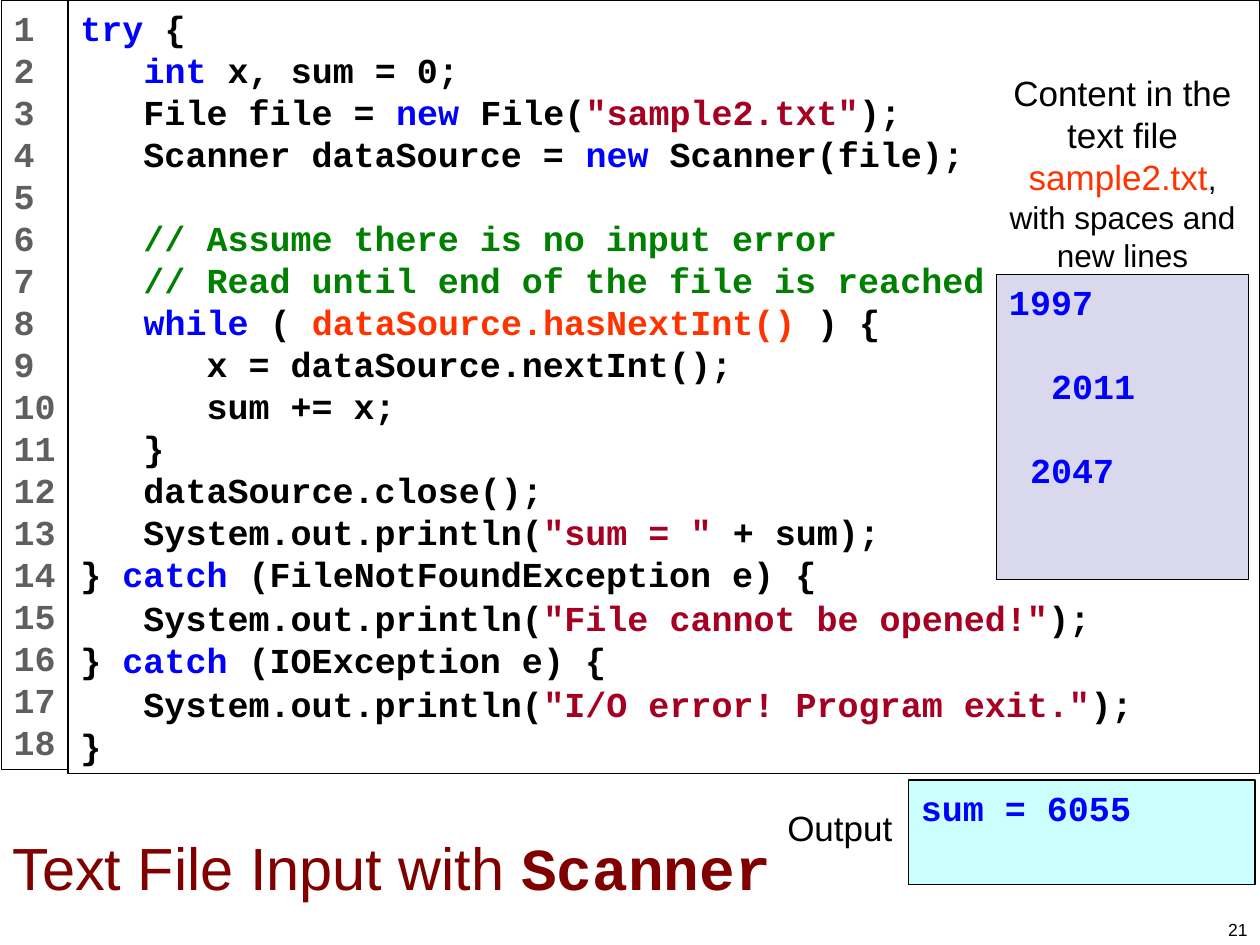
from pptx import Presentation
from pptx.dml.color import RGBColor
from pptx.enum.shapes import MSO_SHAPE
from pptx.enum.text import MSO_ANCHOR, PP_ALIGN
from pptx.util import Inches, Pt

COLORS = {
    "text": "000000", "key": "0000FF", "string": "A50021", "note": "008000",
    "mark": "FF3300", "number": "5F5F5F", "title": "800000",
    "paper": "FFFFFF", "data": "D9D8EC", "output": "CCFFFF",
}
MONO = "Courier New"
GAP = 24

CODE = [
    [("try", "key"), " {"],
    ["   ", ("int", "key"), " x, sum = 0;"],
    ["   File file = ", ("new", "key"), " File(", ('"sample2.txt"', "string"), ");"],
    ["   Scanner dataSource = ", ("new", "key"), " Scanner(file);"],
    [],
    [("   // Assume there is no input error", "note")],
    [("   // Read until end of the file is reached", "note")],
    ["   ", ("while", "key"), " ( ", ("dataSource.hasNextInt() ", "mark"), ") {"],
    ["      x = dataSource.nextInt();"],
    ["      sum += x;"],
    ["   }"],
    ["   dataSource.close();"],
    ["   System.out.println(", ('"sum = "', "string"), " + sum);"],
    ["} ", ("catch", "key"), " (FileNotFoundException e) {"],
    ["   System.out.println(", ('"File cannot be opened!"', "string"), ");"],
    ["} ", ("catch", "key"), " (IOException e) {"],
    ["   System.out.println(", ('"I/O error! Program exit."', "string"), ");"],
    ["}"],
]
LOOSE = (14, 16)


def color(name):
    """Return the named colour."""
    return RGBColor.from_string(COLORS[name])


def add_run(para, text, size=20, font="Arial", tint="text", bold=False):
    """Add one formatted run to a paragraph."""
    run = para.add_run()
    run.text = text
    run.font.size = Pt(size)
    run.font.name = font
    run.font.bold = bold
    run.font.color.rgb = color(tint)


def add_lines(frame, lines, loose=(), tint="text"):
    """Write code lines, turning each empty line into space before the next."""
    gap, para = 0, None
    for row, line in enumerate(lines):
        if not line:
            gap += GAP
            continue
        para = frame.add_paragraph() if para else frame.paragraphs[0]
        para.alignment = PP_ALIGN.LEFT
        if gap:
            para.space_before = Pt(gap)
        if row in loose:
            para.line_spacing = 1.05
        gap = 0
        for part in line:
            text, hue = (part, tint) if isinstance(part, str) else part
            add_run(para, text, font=MONO, tint=hue, bold=True)


def add_panel(slide, box, fill, wrap=True):
    """Add an outlined rectangle and return its text frame."""
    panel = slide.shapes.add_shape(MSO_SHAPE.RECTANGLE, *map(Inches, box))
    panel.shadow.inherit = False
    panel.fill.solid()
    panel.fill.fore_color.rgb = color(fill)
    panel.line.color.rgb = color("text")
    panel.line.width = Pt(0.75)
    frame = panel.text_frame
    frame.word_wrap = wrap
    frame.vertical_anchor = MSO_ANCHOR.TOP
    return frame


def add_label(slide, box, align=PP_ALIGN.LEFT, anchor=MSO_ANCHOR.TOP):
    """Add a wrapping text box and return its first paragraph."""
    frame = slide.shapes.add_textbox(*map(Inches, box)).text_frame
    frame.word_wrap = True
    frame.vertical_anchor = anchor
    para = frame.paragraphs[0]
    para.alignment = align
    return para


def add_code(slide, left, top, width, height):
    """Place the listing with its column of line numbers."""
    side = 0.53
    frame = add_panel(slide, (left + side, top, width - side, height), "paper")
    add_lines(frame, CODE, LOOSE)
    frame = add_panel(slide, (left, top, side, height - 0.03), "paper", False)
    add_lines(frame, [[str(n + 1)] for n in range(len(CODE))], tint="number")


def add_data(slide, left, top, width, height):
    """Place the sample file with its caption above."""
    head = 1.66
    frame = add_panel(slide, (left, top + head, width, height - head), "data")
    add_lines(frame, [["1997"], [], ["  2011"], [], [" 2047"]], tint="key")
    para = add_label(slide, (left, top, width, 1.7), PP_ALIGN.CENTER)
    add_run(para, "Content in the text file ")
    add_run(para, "sample2.txt", tint="mark")
    add_run(para, ", with spaces and new lines", size=18)


def add_output(slide, left, top, width, height):
    """Place the program output with its label on the left."""
    side = 1.06
    frame = add_panel(slide, (left + side, top, width - side, height), "output")
    add_lines(frame, [["sum = 6055"]], tint="key")
    add_run(add_label(slide, (left, top + 0.16, side, 0.44)), "Output")


def add_title(slide, left, top, width, height):
    """Place the title in its placeholder."""
    title = slide.shapes.title
    title.left, title.top = Inches(left), Inches(top)
    title.width, title.height = Inches(width), Inches(height)
    frame = title.text_frame
    frame.word_wrap = True
    frame.vertical_anchor = MSO_ANCHOR.MIDDLE
    para = frame.paragraphs[0]
    para.alignment = PP_ALIGN.LEFT
    add_run(para, "Text File Input with ", size=34, tint="title")
    add_run(para, "Scanner", size=34, font=MONO, tint="title", bold=True)


def main():
    """Build and save the slide."""
    deck = Presentation()
    deck.slide_width, deck.slide_height = Inches(10), Inches(7.5)
    slide = deck.slides.add_slide(deck.slide_layouts[5])
    add_code(slide, 0.01, 0, 9.99, 6.14)
    add_output(slide, 6.15, 6.19, 3.81, 0.83)
    add_title(slide, 0, 6.54, 6.28, 0.67)
    add_data(slide, 7.91, 0.52, 2, 4.08)
    page = add_label(slide, (7.67, 7.01, 2.33, 0.5), PP_ALIGN.RIGHT, MSO_ANCHOR.BOTTOM)
    add_run(page, "21", size=10)
    deck.save("out.pptx")


if __name__ == "__main__":
    main()
